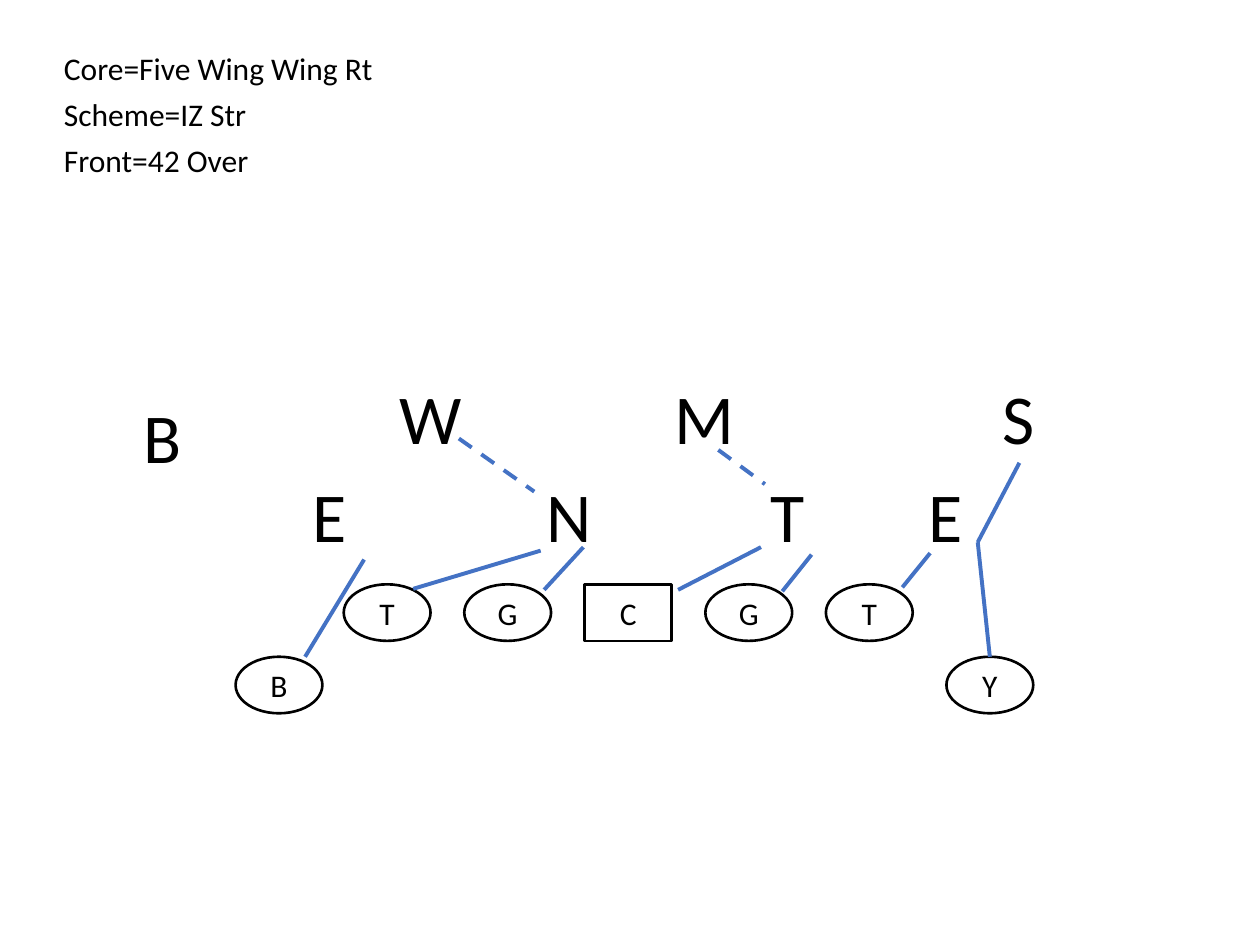
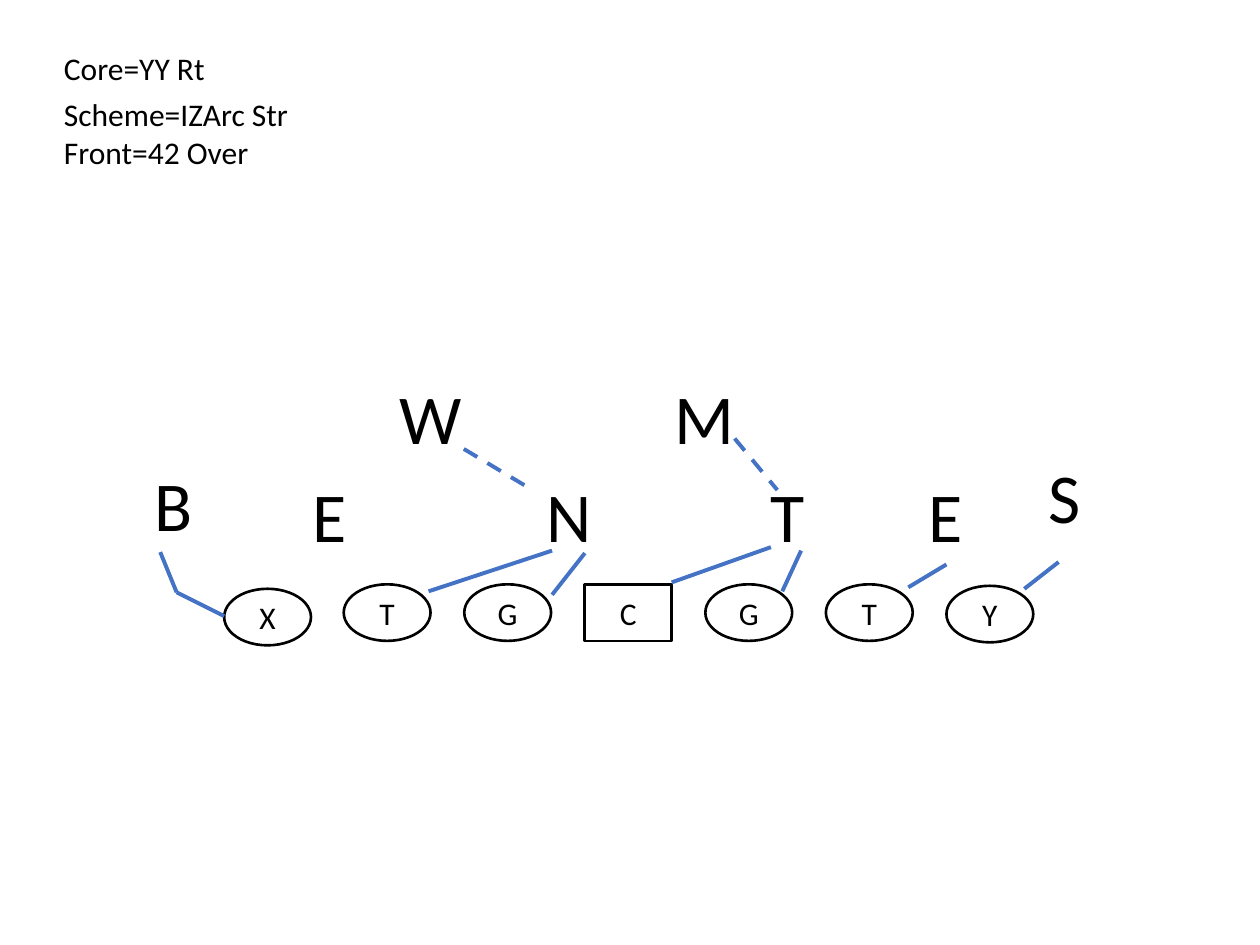
from collections import namedtuple
from itertools import pairwise

from lxml import etree
from pptx import Presentation
from pptx.dml.color import RGBColor
from pptx.enum.dml import MSO_LINE
from pptx.enum.shapes import MSO_CONNECTOR, MSO_SHAPE
from pptx.enum.text import MSO_ANCHOR, MSO_AUTO_SIZE, PP_ALIGN
from pptx.oxml.ns import qn
from pptx.util import Cm, Pt

RECTANGLE, ELLIPSE = MSO_SHAPE.RECTANGLE, MSO_SHAPE.OVAL
STRAIGHT, DASH = MSO_CONNECTOR.STRAIGHT, MSO_LINE.DASH
CENTER, MIDDLE = PP_ALIGN.CENTER, MSO_ANCHOR.MIDDLE
FIT_SHAPE = MSO_AUTO_SIZE.SHAPE_TO_FIT_TEXT
TOP_SIDE = 0

BLACK, WHITE, BLUE = "000000", "FFFFFF", "4472C4"
LABEL_FONT = {"name": "Calibri", "size": Pt(18)}
DEFENDER_FONT = {"name": "Calibri", "size": Pt(40)}

Box = namedtuple("Box", "left top")
CALL_BOX = Box(1.04, 0.86)
FIELD_BOX = Box(2.54, 7.42)

# All lengths are in centimetres; places are relative to the box they belong to.
CALL_HEIGHT = 1.02
PLAYER_WIDTH, PLAYER_HEIGHT = 1.75, 1.14
LINE_LEFT, LINE_TOP, LINE_PITCH = 4.39, 4.36, 2.43
END_LEFT = LINE_LEFT + 5 * LINE_PITCH
DEFENDER_HEIGHT = 1.96
FRONT_TOP = 1.98

LINEMEN = "TGCGT"
# letter, left, top, width
FRONT_SIX = [
    ("N", 8.23, FRONT_TOP, 1.42),
    ("T", 12.75, FRONT_TOP, 1.22),
    ("E", 15.93, FRONT_TOP, 1.22),
    ("E", 3.51, FRONT_TOP, 1.22),
    ("W", 5.26, 0, 1.78),
    ("M", 10.8, 0, 1.78),
]

PLAYS = [
    {
        # text, top, width
        "calls": [("Core=Five Wing Wing Rt", 0, 6.81),
                  ("Scheme=IZ Str", 0.94, 4.37),
                  ("Front=42 Over", 1.86, 4.27)],
        "ends": [("Y", END_LEFT, 5.82), ("B", 2.21, 5.82)],
        "overhang": [("S", 17.42, 0, 1.17), ("B", 0.1, 0.38, 1.3)],
        "blocks": [
            [(8.36, 3.68), (5.79, 4.45)],
            [(9.22, 3.61), (8.43, 4.47)],
            [(4.8, 3.86), (3.61, 5.82)],
            [(13.82, 3.76), (13.23, 4.5)],
            [(12.8, 3.61), (11.13, 4.47)],
            [(16.21, 3.73), (15.65, 4.42)],
            ["Y", (17.17, 3.51), (18.01, 1.91)],
        ],
        "climbs": [[(6.71, 1.42), (8.23, 2.49)],
                   [(11.94, 1.65), (12.88, 2.34)]],
    },
    {
        "calls": [("Core=YY Rt", 0, 3.38),
                  ("Scheme=IZArc Str", 0.94, 5.08),
                  ("Front=42 Over", 1.7, 4.42)],
        "ends": [("Y", END_LEFT, 4.39), ("X", 1.98, 4.45)],
        "overhang": [("S", 18.34, 1.6, 1.22), ("B", 0.33, 1.75, 1.3)],
        "blocks": [
            [(18.8, 3.91), (18.11, 4.45)],
            [(16.54, 3.96), (15.77, 4.42)],
            [(13.61, 3.68), (13.23, 4.5)],
            [(13, 3.61), (11, 4.32)],
            [(9.25, 3.73), (8.59, 4.57)],
            [(8.59, 3.68), (6.1, 4.5)],
            [(1.98, 5), (1.02, 4.52), (0.69, 3.71)],
        ],
        "climbs": [[(12.27, 1.42), (13.13, 2.46)],
                   [(6.81, 1.63), (8.08, 2.39)]],
    },
]


def color(hex_value):
    return RGBColor.from_string(hex_value)


def write(paragraph, text, font_format):
    paragraph.text = text
    for attribute, value in font_format.items():
        setattr(paragraph.font, attribute, value)
    paragraph.font.color.rgb = color(BLACK)


def add_label(slide, box, text, left, top, width, height, font_format):
    label = slide.shapes.add_textbox(
        Cm(box.left + left), Cm(box.top + top), Cm(width), Cm(height))
    frame = label.text_frame
    frame.word_wrap = False
    frame.auto_size = FIT_SHAPE
    write(frame.paragraphs[0], text, font_format)


def add_player(slide, box, letter, left, top):
    """Draw an offensive player; the center is the square one."""
    player = slide.shapes.add_shape(
        RECTANGLE if letter == "C" else ELLIPSE,
        Cm(box.left + left), Cm(box.top + top),
        Cm(PLAYER_WIDTH), Cm(PLAYER_HEIGHT))
    player.shadow.inherit = False
    player.fill.solid()
    player.fill.fore_color.rgb = color(WHITE)
    player.line.color.rgb = color(BLACK)
    player.line.width = Pt(1.5)
    player.text_frame.vertical_anchor = MIDDLE
    paragraph = player.text_frame.paragraphs[0]
    paragraph.alignment = CENTER
    write(paragraph, letter, LABEL_FONT)
    return player


def add_assignment(slide, box, points, players, dash=None):
    """Draw straight legs through points; a letter stands for that player's top."""
    for start, end in pairwise(points):
        blocker = players.get(start)
        start_x, start_y = end if blocker else start
        leg = slide.shapes.add_connector(
            STRAIGHT,
            Cm(box.left + start_x), Cm(box.top + start_y),
            Cm(box.left + end[0]), Cm(box.top + end[1]))
        if blocker:
            leg.begin_connect(blocker, TOP_SIDE)
        leg.line.color.rgb = color(BLUE)
        leg.line.width = Pt(2.25)
        if dash:
            leg.line.dash_style = dash
        etree.SubElement(leg._element.spPr, qn("a:effectLst"))


def add_calls(slide, box, calls):
    for text, top, width in calls:
        add_label(slide, box, text, 0, top, width, CALL_HEIGHT, LABEL_FONT)


def add_field(slide, box, play):
    for slot, letter in enumerate(LINEMEN):
        add_player(slide, box, letter, LINE_LEFT + slot * LINE_PITCH, LINE_TOP)
    ends = {letter: add_player(slide, box, letter, left, top)
            for letter, left, top in play["ends"]}
    for letter, left, top, width in FRONT_SIX + play["overhang"]:
        add_label(slide, box, letter, left, top, width, DEFENDER_HEIGHT,
                  DEFENDER_FONT)
    for points in play["blocks"]:
        add_assignment(slide, box, points, ends)
    for points in play["climbs"]:
        add_assignment(slide, box, points, ends, DASH)


def main():
    deck = Presentation()
    deck.slide_width, deck.slide_height = Cm(25.4), Cm(19.05)
    blank = deck.slide_layouts[6]
    for play in PLAYS:
        slide = deck.slides.add_slide(blank)
        add_calls(slide, CALL_BOX, play["calls"])
        add_field(slide, FIELD_BOX, play)
    deck.save("out.pptx")


if __name__ == "__main__":
    main()
